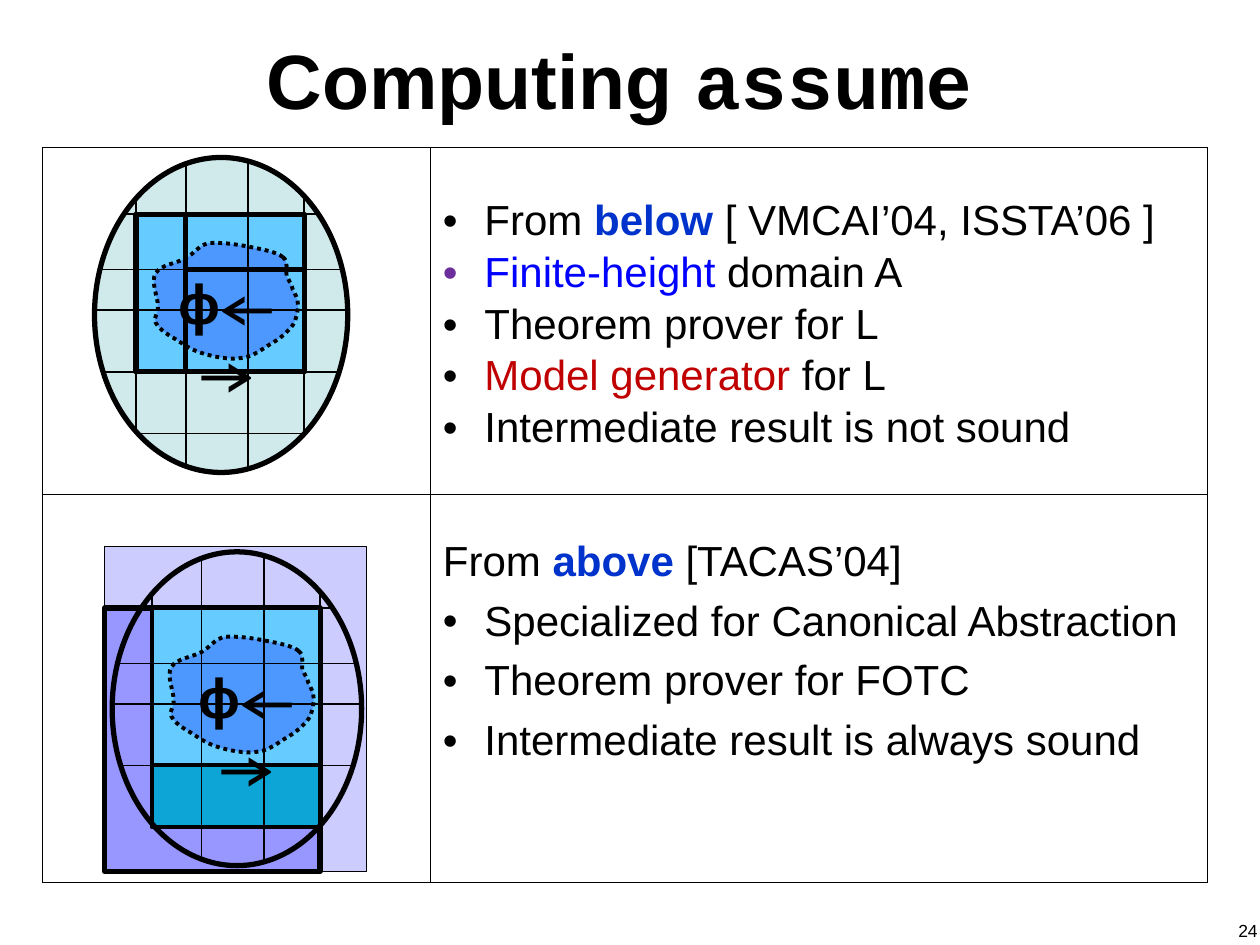
from math import sqrt
from pptx import Presentation
from pptx.dml.color import RGBColor
from pptx.enum.dml import MSO_LINE
from pptx.enum.shapes import MSO_CONNECTOR, MSO_SHAPE
from pptx.enum.text import MSO_ANCHOR, PP_ALIGN
from pptx.oxml import parse_xml
from pptx.oxml.ns import nsdecls, qn
from pptx.oxml.xmlchemy import OxmlElement
from pptx.util import Inches, Pt


def rgb(value):
    return RGBColor.from_string(value)


def write(paragraph, text, size=24, font="Arial", color="000000", bold=False):
    run = paragraph.add_run()
    run.text = text
    run.font.size = Pt(size)
    run.font.name = font
    run.font.bold = bold
    run.font.color.rgb = rgb(color)


prs = Presentation()
prs.slide_width, prs.slide_height = Inches(10), Inches(7.5)
slide = prs.slides.add_slide(prs.slide_layouts[5])
shapes = slide.shapes
unit = prs.slide_width // 1000

title = shapes.title
title.left, title.top, title.width, title.height = [n * unit for n in (50, 0, 900, 125)]
title.text_frame.vertical_anchor = MSO_ANCHOR.MIDDLE
title.text_frame.margin_right = 27 * unit
heading = title.text_frame.paragraphs[0]
heading.alignment = PP_ALIGN.CENTER
write(heading, "Computing ", size=44, bold=True)
write(heading, "assume", size=44, font="Courier New", bold=True)

BLUE = dict(color="0033CC", bold=True)
below = [
    ("000000", [("From ", {}), ("below ", BLUE), ("[ VMCAI’04, ISSTA’06 ]", {})]),
    ("6C2E9A", [("Finite-height", dict(color="0000FF")), (" domain A", {})]),
    ("000000", [("Theorem prover for L", {})]),
    ("000000", [("Model generator ", dict(color="C00000")), ("for L", {})]),
    ("000000", [("Intermediate result is not sound", {})]),
]
above = [
    (None, [("From ", {}), ("above ", BLUE), ("[TACAS’04]", {})]),
    ("000000", [("Specialized for Canonical Abstraction", {})]),
    ("000000", [("Theorem prover for FOTC", {})]),
    ("000000", [("Intermediate result is always sound", {})]),
]

methods = shapes.add_table(2, 2, int(33.5 * unit), 117 * unit, 925 * unit, 583 * unit).table
methods.first_row = methods.horz_banding = False
for column, width in zip(methods.columns, (308, 617)):
    column.width = width * unit
for row, height in zip(methods.rows, (275, 308)):
    row.height = height * unit
for cell in methods.iter_cells():
    cell.fill.background()
    borders = cell._tc.get_or_add_tcPr()
    for index, side in enumerate(("lnL", "lnR", "lnT", "lnB")):
        borders.insert(index, parse_xml(
            f'<a:{side} {nsdecls("a")} w="5715"><a:solidFill>'
            f'<a:srgbClr val="000000"/></a:solidFill></a:{side}>'))

for row, (points, top, spacing, before) in enumerate(
        [(below, 38, 1.05, 1.5), (above, 35, 1.0, 7.5)]):
    cell = methods.cell(row, 1)
    cell.margin_top = top * unit
    for number, (bullet, pieces) in enumerate(points):
        point = cell.text_frame.add_paragraph() if number else cell.text_frame.paragraphs[0]
        point.line_spacing = spacing
        if number:
            point.space_before = Pt(before)
        if bullet:
            props = point._p.get_or_add_pPr()
            props.set("marL", str(33 * unit))
            props.set("indent", str(-33 * unit))
            for mark in (f'<a:buClr {nsdecls("a")}><a:srgbClr val="{bullet}"/></a:buClr>',
                         f'<a:buFont {nsdecls("a")} typeface="Arial"/>',
                         f'<a:buChar {nsdecls("a")} char="•"/>'):
                props.append(parse_xml(mark))
        for text, style in pieces:
            write(point, text, **style)

cols = [-105, -67.5, -28, 21.5, 66, 103]
rows = [-129, -80, -36, -4, 45, 94, 129]
blob_start = (49, -46)
blob_curves = [
    (44, -50, 33, -52, 23, -54), (13, -56, -1, -58, -10, -57),
    (-18, -55, -21, -49, -28, -45), (-35, -41, -48, -40, -52, -33),
    (-56, -27, -50, -13, -50, -7), (-50, 0, -54, 2, -52, 6),
    (-50, 10, -46, 13, -40, 17), (-34, 20, -26, 27, -16, 30),
    (-7, 33, 7, 36, 17, 34), (26, 33, 34, 26, 41, 22),
    (48, 18, 53, 13, 57, 8), (60, 3, 61, -3, 61, -8),
    (61, -13, 59, -16, 57, -20), (56, -24, 54, -27, 52, -31),
    (51, -36, 54, -42, 49, -46),
]

BOX, OVAL = MSO_SHAPE.RECTANGLE, MSO_SHAPE.OVAL
from_below = [(OVAL, None, "D0EAEC", 3), (BOX, (2, 1, 4, 2), "66CCFF", 3),
              (BOX, (2, 2, 4, 4), "66CCFF", 3), (BOX, (1, 1, 2, 4), "66CCFF", 3)]
from_below_front = [(BOX, (1, 1, 2, 4), None, 3), (BOX, (2, 2, 4, 4), None, 3)]
from_above = [(BOX, (0, 0, 5, 6), "CCCCFF", 0.75), (BOX, (0, 1, 4, 6), "9797FF", 3),
              (BOX, (1, 1, 4, 5), "0DA5D5", 2.25), (BOX, (1, 1, 4, 4), "66CCFF", 2.25)]
from_above_front = [(OVAL, None, None, 3)]

for cx, cy, rx, ry, phi_left, back, front in [
        (175.5, 250, 100.5, 125, 117, from_below, from_below_front),
        (188, 562.5, 99, 124.5, 132.5, from_above, from_above_front)]:
    chords = [(-h, y, h, y) for y in rows[1:6] for h in [rx * sqrt(1 - (y / ry) ** 2)]]
    chords += [(x, -h, x, h) for x in cols[1:5] for h in [ry * sqrt(1 - (x / rx) ** 2)]]

    for layer in (back, front):
        for kind, span, fill, weight in layer:
            x1, y1, x2, y2 = (-rx, -ry, rx, ry)
            if span:
                x1, y1, x2, y2 = cols[span[0]], rows[span[1]], cols[span[2]], rows[span[3]]
            tile = shapes.add_shape(kind, *[int(n * unit) for n in (
                cx + x1, cy + y1, x2 - x1, y2 - y1)])
            tile.shadow.inherit = False
            tile.line.color.rgb = rgb("000000")
            tile.line.width = Pt(weight)
            if fill:
                tile.fill.solid()
                tile.fill.fore_color.rgb = rgb(fill)
            else:
                tile.fill.background()

        if layer is back:
            knots = [blob_start] + [curve[4:] for curve in blob_curves]
            corners = [(int((cx + x) * unit), int((cy + y) * unit)) for x, y in knots]
            builder = shapes.build_freeform(*corners[0])
            builder.add_line_segments(corners[1:], close=True)
            blob = builder.convert_to_shape()
            segments = list(blob._element.spPr.iter(qn("a:lnTo")))
            for segment, curve in zip(segments, blob_curves):
                bend = OxmlElement("a:cubicBezTo")
                for x, y in zip(curve[::2], curve[1::2]):
                    handle = OxmlElement("a:pt")
                    handle.set("x", str(int((cx + x) * unit) - blob.left))
                    handle.set("y", str(int((cy + y) * unit) - blob.top))
                    bend.append(handle)
                segment.getparent().replace(segment, bend)
            blob.shadow.inherit = False
            blob.fill.solid()
            blob.fill.fore_color.rgb = rgb("3366FF")
            alpha = OxmlElement("a:alpha")
            alpha.set("val", "50000")
            blob._element.spPr.find(qn("a:solidFill"))[0].append(alpha)
            blob.line.color.rgb = rgb("000000")
            blob.line.width = Pt(2.25)
            blob.line.dash_style = MSO_LINE.ROUND_DOT
            for x1, y1, x2, y2 in chords:
                chord = shapes.add_connector(MSO_CONNECTOR.STRAIGHT, *[int(n * unit) for n in (
                    cx + x1, cy + y1, cx + x2, cy + y2)])
                chord.line.color.rgb = rgb("000000")
                chord.line.width = Pt(1)
                chord._element.spPr.append(OxmlElement("a:effectLst"))

    phi = shapes.add_textbox(*[int(n * unit) for n in (phi_left, cy - 42, 126, 64)])
    phi.text_frame.word_wrap = True
    symbols = phi.text_frame.paragraphs[0]
    symbols.alignment = PP_ALIGN.CENTER
    symbols._p.get_or_add_pPr().set("rtl", "1")
    for symbol, font in (("←", "Cambria"), ("ϕ", "Arial"), ("→", "Cambria")):
        write(symbols, symbol, size=32, font=font, bold=True)

page = shapes.add_textbox(*[n * unit for n in (958, 725, 50, 52)])
page.text_frame.word_wrap = True
page_number = page.text_frame.paragraphs[0]
page_number.alignment = PP_ALIGN.RIGHT
write(page_number, "24", size=10)

prs.save("out.pptx")
